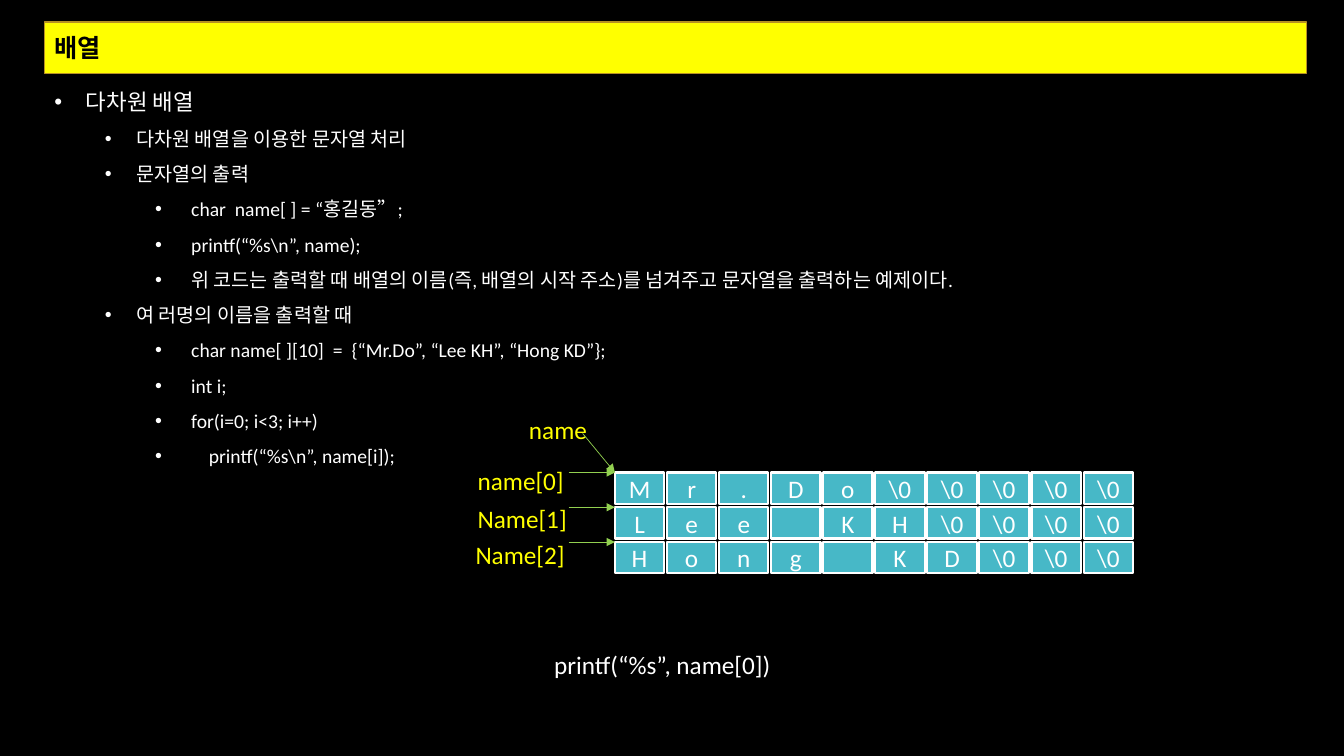
from lxml import etree
from pptx import Presentation
from pptx.dml.color import RGBColor
from pptx.enum.shapes import MSO_CONNECTOR as Connector, MSO_SHAPE as Shape
from pptx.enum.text import MSO_ANCHOR as Anchor, MSO_AUTO_SIZE as AutoSize, PP_ALIGN as Align
from pptx.oxml.ns import qn
from pptx.util import Pt

BLACK, WHITE, YELLOW = "000000", "FFFFFF", "FFFF00"
GOLD, TEAL, GREEN = "B79024", "47B8C7", "92D050"

# Outline: style name and text
OUTLINE = [
    ("topic", "다차원 배열"),
    ("point", "다차원 배열을 이용한 문자열 처리"),
    ("point", "문자열의 출력"),
    ("code", "char  name[ ] = “홍길동”;"),
    ("code", "printf(“%s\\n”, name);"),
    ("code", "위 코드는 출력할 때 배열의 이름(즉, 배열의 시작 주소)를 넘겨주고 문자열을 출력하는 예제이다."),
    ("point", "여 러명의 이름을 출력할 때"),
    ("code", "char name[ ][10]  =  {“Mr.Do”, “Lee KH”, “Hong KD”};"),
    ("code", "int i;"),
    ("code", "for(i=0; i<3; i++)"),
    ("loop", "printf(“%s\\n”, name[i]);"),
]
# Style: level, text indent, bullet position, font size
STYLES = {
    "topic": (0, 22.5, 0, 16),
    "point": (1, 58.5, 36, 14),
    "code": (2, 97.7, 72, 14),
    "loop": (2, 110.3, 72, 14),
}

# Character grid
NAMES = ["Mr.Do", "Lee KH", "Hong KD"]
COLUMNS = 10
GRID_LEFT, GRID_TOP = 439.2, 337.5
COLUMN_STEP, ROW_STEP = 37.2, 24.85
CELL_WIDTH, CELL_HEIGHT = 35.3, 22.3

# Labels: text, left, top, width, colour
LABELS = [
    ("name", 370.8, 292.3, 62.6, YELLOW),
    ("name[0]", 334.1, 329, 81.4, YELLOW),
    ("Name[1]", 334.1, 355.7, 81.4, YELLOW),
    ("Name[2]", 332.6, 381.6, 81.4, YELLOW),
    ("printf(“%s”, name[0])", 388.8, 460.1, 290.9, WHITE),
]


def color(value):
    return RGBColor.from_string(value)


def place(shape, left, top, width, height):
    shape.left, shape.top = Pt(left), Pt(top)
    shape.width, shape.height = Pt(width), Pt(height)


def paint(shape, fill, line, line_width):
    shape.fill.solid()
    shape.fill.fore_color.rgb = color(fill)
    shape.line.color.rgb = color(line)
    shape.line.width = Pt(line_width)


def style(paragraph, size, text_color, align=Align.LEFT, bold=False):
    paragraph.alignment = align
    font = paragraph.font
    font.name, font.size, font.bold = "Calibri", Pt(size), bold
    font.color.rgb = color(text_color)


def set_bullet(paragraph, indent, bullet_at):
    properties = paragraph._p.get_or_add_pPr()
    properties.set("marL", str(Pt(indent)))
    properties.set("indent", str(Pt(bullet_at - indent)))
    bullet = etree.Element(qn("a:buChar"), char="•")
    bullet_font = etree.Element(qn("a:buFont"), typeface="Arial")
    # Bullets come before the default run properties
    run_defaults = properties.find(qn("a:defRPr"))
    run_defaults.addprevious(bullet_font)
    run_defaults.addprevious(bullet)


def format_title(title):
    place(title, 31.7, 15.8, 901.4, 36.7)
    geometry = etree.SubElement(title._element.spPr, qn("a:prstGeom"), prst="roundRect")
    etree.SubElement(geometry, qn("a:avLst"))
    paint(title, YELLOW, GOLD, 1)
    frame = title.text_frame
    frame.text = "배열"
    frame.auto_size = AutoSize.NONE
    frame.vertical_anchor = Anchor.MIDDLE
    style(frame.paragraphs[0], 18, BLACK, bold=True)


def format_outline(body):
    place(body, 31.7, 49.7, 898.6, 465.1)
    paint(body, BLACK, BLACK, 1)
    frame = body.text_frame
    frame.text = "\n".join(text for _, text in OUTLINE)
    frame.auto_size = AutoSize.NONE
    frame.vertical_anchor = Anchor.TOP
    for paragraph, (name, _) in zip(frame.paragraphs, OUTLINE):
        level, indent, bullet_at, size = STYLES[name]
        paragraph.level = level
        paragraph.line_spacing = 1.5
        paragraph.space_before = Pt(0)
        style(paragraph, size, WHITE)
        set_bullet(paragraph, indent, bullet_at)


def add_cell(group, row, column, text):
    cell = group.shapes.add_shape(
        Shape.RECTANGLE,
        Pt(GRID_LEFT + column * COLUMN_STEP), Pt(GRID_TOP + row * ROW_STEP),
        Pt(CELL_WIDTH), Pt(CELL_HEIGHT))
    cell.shadow.inherit = False
    paint(cell, TEAL, WHITE, 1.5)
    if text.strip():
        frame = cell.text_frame
        frame.text = text
        frame.vertical_anchor = Anchor.MIDDLE
        style(frame.paragraphs[0], 18, WHITE, Align.CENTER)


def add_label(slide, text, left, top, width, text_color):
    box = slide.shapes.add_textbox(Pt(left), Pt(top), Pt(width), Pt(28.8))
    frame = box.text_frame
    frame.word_wrap = True
    frame.text = text
    style(frame.paragraphs[0], 18, text_color)


def add_arrow(slide, start_x, start_y, end_x, end_y):
    arrow = slide.shapes.add_connector(
        Connector.STRAIGHT, Pt(start_x), Pt(start_y), Pt(end_x), Pt(end_y))
    arrow.line.color.rgb = color(GREEN)
    arrow.line.width = Pt(0.5)
    etree.SubElement(arrow.line._get_or_add_ln(), qn("a:tailEnd"), type="triangle")
    etree.SubElement(arrow._element.spPr, qn("a:effectLst"))


def main():
    presentation = Presentation()
    presentation.slide_width, presentation.slide_height = Pt(960), Pt(540)
    slide = presentation.slides.add_slide(presentation.slide_layouts[1])
    slide.background.fill.solid()
    slide.background.fill.fore_color.rgb = color(BLACK)

    # Title bar in front of the outline
    title, body = slide.placeholders
    format_title(title)
    format_outline(body)
    title._element.addprevious(body._element)

    # Array contents, padded with null characters
    grid = slide.shapes.add_group_shape()
    for row, name in enumerate(NAMES):
        characters = list(name) + ["\\0"] * (COLUMNS - len(name))
        for column, character in enumerate(characters):
            add_cell(grid, row, column, character)

    # Labels and pointers
    for label in LABELS:
        add_label(slide, *label)
    add_arrow(slide, 416.2, 309.6, GRID_LEFT, GRID_TOP)
    for row in range(len(NAMES)):
        row_top = GRID_TOP + row * ROW_STEP
        add_arrow(slide, 406.1, row_top, GRID_LEFT, row_top)

    presentation.save("out.pptx")


if __name__ == "__main__":
    main()
